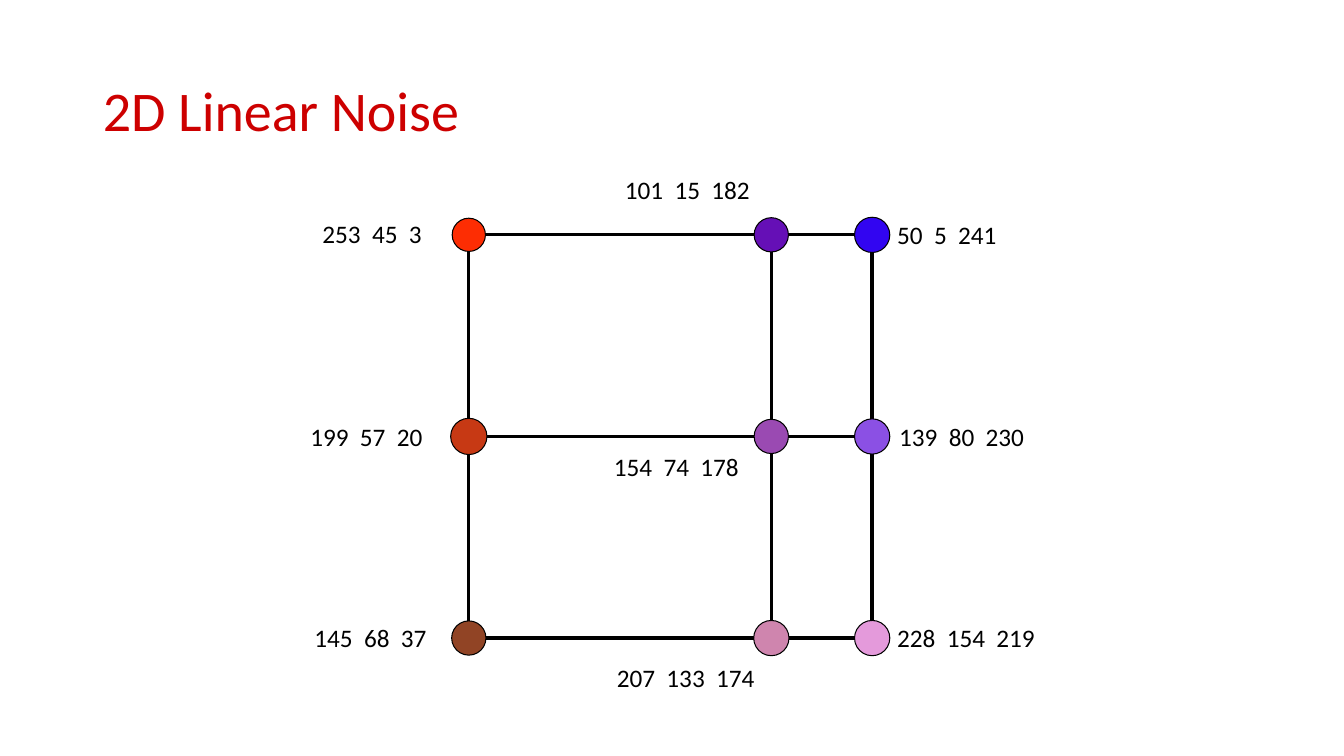
import pptx
import pptx.util
import pptx.dml.color
import pptx.enum.shapes
import pptx.enum.text
import lxml.etree

Inches = pptx.util.Inches
Pt = pptx.util.Pt
Shape = pptx.enum.shapes.MSO_SHAPE
Anchor = pptx.enum.text.MSO_ANCHOR
hue = pptx.dml.color.RGBColor.from_string

colors = {
    "title": "CD0000", "ink": "000000",
    "red": "FD2D03", "violet": "650FB6", "blue": "3205F1",
    "rust": "C73914", "purple": "9A4AB2", "lilac": "8B50E4",
    "brown": "914425", "rose": "CF85AE", "pink": "E49ADB",
}

deck = pptx.Presentation()
deck.slide_width = Inches(13.33)
deck.slide_height = Inches(7.5)
slide = deck.slides.add_slide(deck.slide_layouts[5])
shapes = slide.shapes


def write(text, box, size=18, color="ink", anchor=Anchor.TOP, spacing=1.0):
    frame = box.text_frame
    frame.word_wrap = True
    frame.vertical_anchor = anchor
    frame.text = text
    line = frame.paragraphs[0]
    line.alignment = pptx.enum.text.PP_ALIGN.LEFT
    line.line_spacing = spacing
    line.font.name = "Calibri"
    line.font.size = Pt(size)
    line.font.color.rgb = hue(colors[color])


def stroke(item, width):
    item.line.color.rgb = hue(colors["ink"])
    item.line.width = Pt(width)


title = shapes.title
title.left, title.top = Inches(0.92), Inches(0.4)
title.width, title.height = Inches(11.5), Inches(1.45)
write("2D Linear Noise", title, size=40, color="title",
      anchor=Anchor.MIDDLE, spacing=0.9)

# Lattice: outer square, plus the lines that cross it
left, mid, right = 4.65, 7.65, 8.65
top, center, bottom = 2.33, 4.33, 6.33

square = shapes.add_shape(Shape.RECTANGLE, Inches(left), Inches(top),
                          Inches(right - left), Inches(bottom - top))
square.shadow.inherit = False
square.fill.background()
stroke(square, 2.25)

for x1, y1, x2, y2 in [(left, center, right, center), (mid, top, mid, bottom)]:
    edge = shapes.add_connector(pptx.enum.shapes.MSO_CONNECTOR.STRAIGHT,
                                Inches(x1), Inches(y1), Inches(x2), Inches(y2))
    stroke(edge, 2.25)
    lxml.etree.SubElement(edge.element.spPr, pptx.oxml.ns.qn("a:effectLst"))

# Each node: center, diameter, color, then its label with left, top and width
nodes = [
    (left, top, 0.33, "red", "253  45  3", 3.1, 2.12, 1.47),
    (mid, top, 0.34, "violet", "101  15  182", 6.1, 1.68, 1.64),
    (right, top, 0.35, "blue", "50  5  241", 8.8, 2.13, 1.47),
    (left, center, 0.36, "rust", "199  57  20", 2.98, 4.13, 1.47),
    (mid, center, 0.34, "purple", "154  74  178", 5.99, 4.43, 1.61),
    (right, center, 0.35, "lilac", "139  80  230", 8.82, 4.13, 1.8),
    (left, bottom, 0.34, "brown", "145  68  37", 3.02, 6.12, 1.47),
    (mid, bottom, 0.35, "rose", "207  133  174", 6.02, 6.52, 1.84),
    (right, bottom, 0.35, "pink", "228  154  219", 8.8, 6.12, 1.81),
]
for x, y, size, color, text, label_x, label_y, width in nodes:
    dot = shapes.add_shape(Shape.OVAL, Inches(x - size / 2), Inches(y - size / 2),
                           Inches(size), Inches(size))
    dot.shadow.inherit = False
    dot.fill.solid()
    dot.fill.fore_color.rgb = hue(colors[color])
    stroke(dot, 0.75)
    label = shapes.add_textbox(Inches(label_x), Inches(label_y),
                               Inches(width), Inches(0.4))
    write(text, label)

deck.save("out.pptx")
